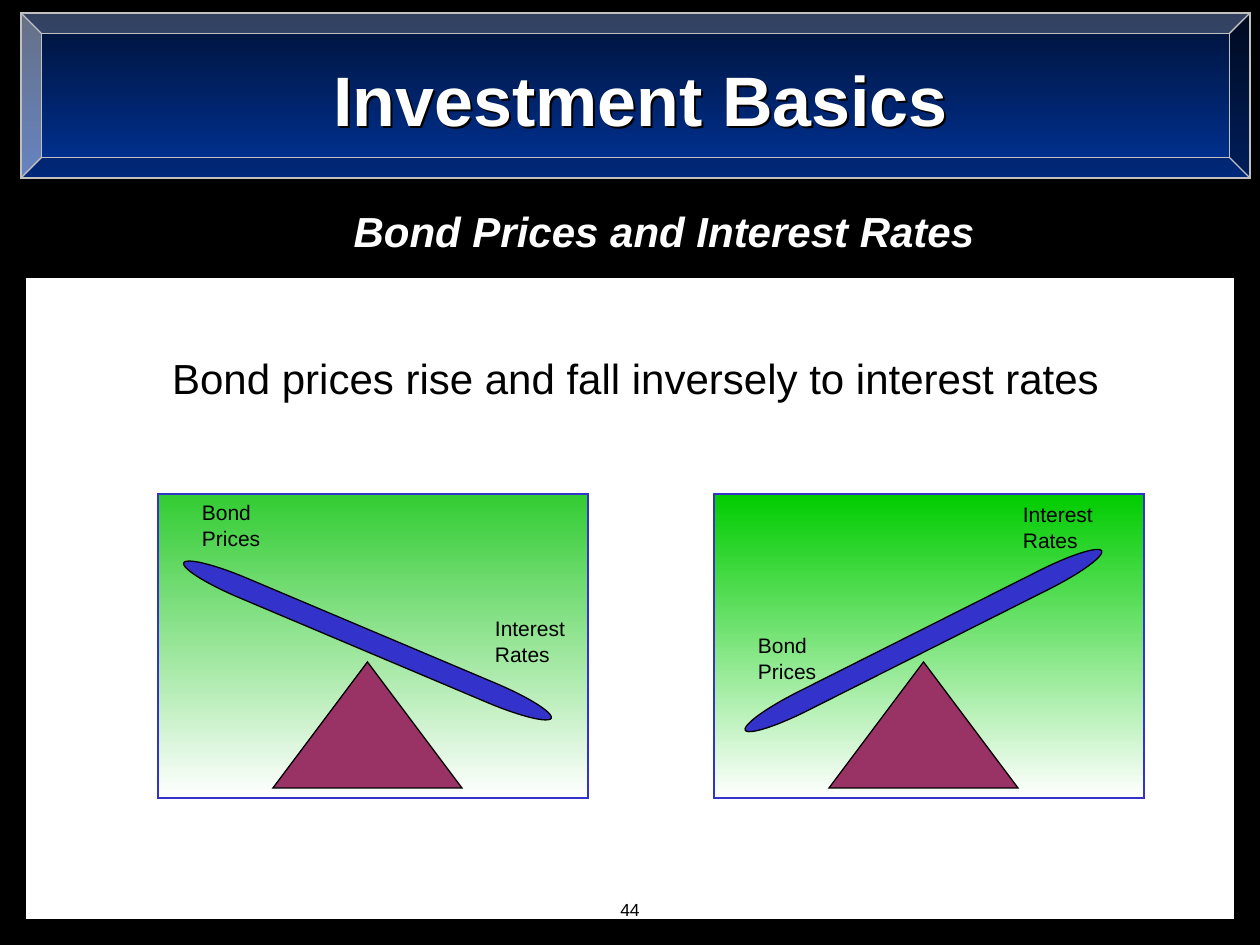
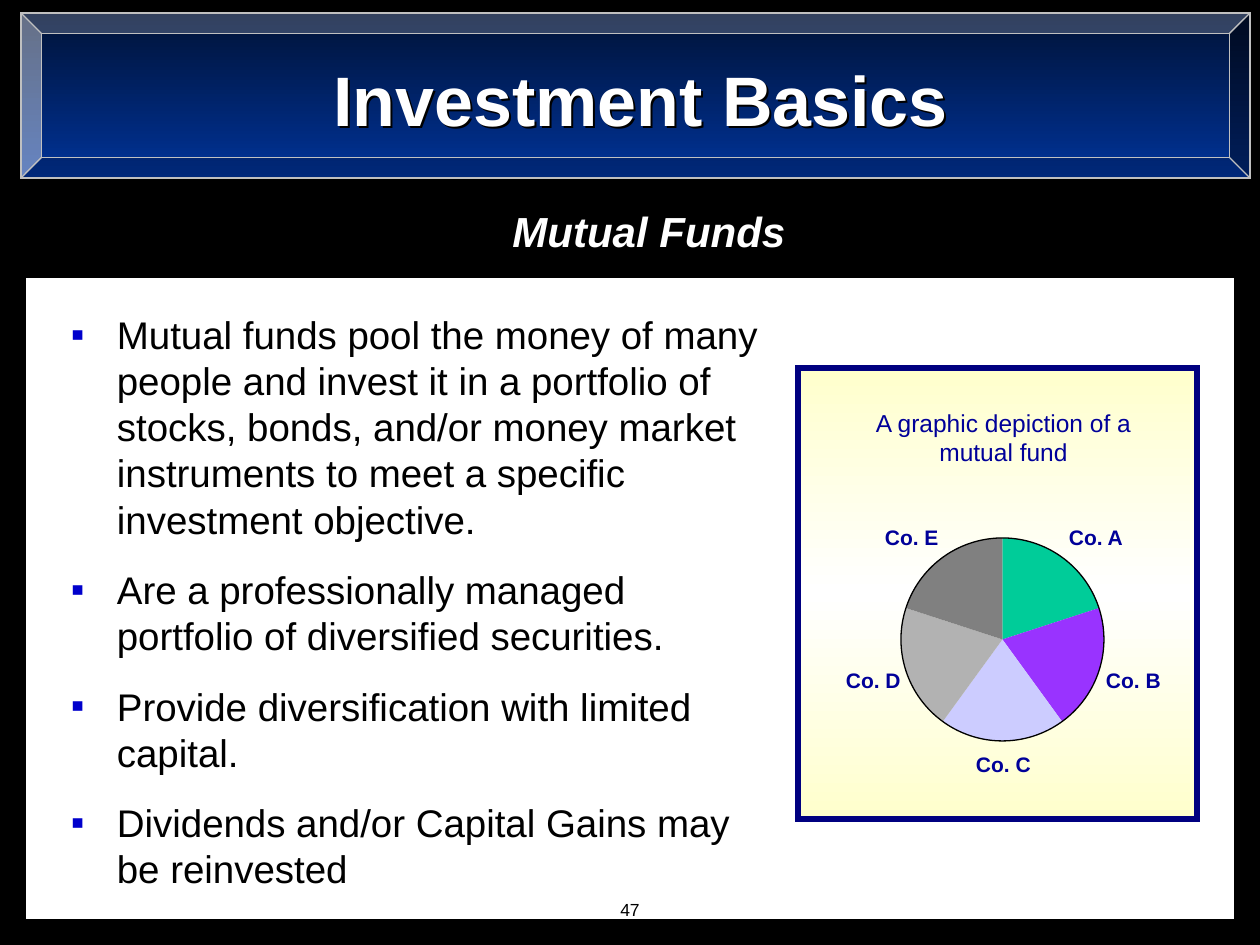
"""Build two investment slides: bond prices against interest rates, and mutual funds."""
from copy import deepcopy
from dataclasses import dataclass

from lxml import etree
from pptx import Presentation
from pptx import util as u
from pptx.dml.color import RGBColor
from pptx.enum import shapes, text
from pptx.oxml.ns import qn

EMU_PER_PX = 914400 / 126
FONT = "Arial"
HEX = {
    "black": "000000", "white": "FFFFFF", "silver": "C0C0C0",
    "night": "001236", "royal": "003399", "indigo": "3333CC",
    "leaf": "33CC33", "green": "00CC00", "plum": "993366",
    "cream": "FFFFCC", "navy": "000080", "ink": "000099", "bullet": "0000CC",
    "teal": "00CC99", "violet": "9933FF", "lilac": "CCCCFF",
    "ash": "B2B2B2", "grey": "808080",
}
SHAPE = shapes.MSO_SHAPE
ALIGN = text.PP_ALIGN


@dataclass(frozen=True)
class Area:
    left: int
    top: int
    width: int
    height: int

    def emu(self) -> list[int]:
        return [px(n) for n in (self.left, self.top, self.width, self.height)]


@dataclass(frozen=True)
class Look:
    size: int
    color: str = "black"
    bold: bool = False
    italic: bool = False
    align: ALIGN = ALIGN.LEFT
    inset: tuple[int, int] = (13, 6)
    before: float = 0
    bullet: str = ""


@dataclass(frozen=True)
class Label:
    words: tuple[str, ...]
    left: int
    top: int


@dataclass(frozen=True)
class Seesaw:
    left: int
    sky: str
    tilt: float
    labels: tuple[Label, ...]


@dataclass(frozen=True)
class Holding:
    name: str
    color: str
    left: int
    top: int


TITLE = Look(40, "white", bold=True, align=ALIGN.CENTER)
SUBTITLE = Look(24, "white", bold=True, italic=True, align=ALIGN.CENTER)
STATEMENT = Look(24, align=ALIGN.CENTER)
NUMBER = Look(10, align=ALIGN.CENTER)
BODY = Look(22, before=13.8, bullet="▪")
CAPTION = Look(14, "ink", align=ALIGN.CENTER)
BEAM_LABEL = Look(12)
SLICE_LABEL = Look(12, "ink", bold=True, inset=(0, 0))

BOND = ("Bond", "Prices")
INTEREST = ("Interest", "Rates")
SEESAW_TOP = 494
SEESAWS = (
    Seesaw(158, "leaf", 22.9, (Label(BOND, 31, 0), Label(INTEREST, 324, 116))),
    Seesaw(714, "green", 333.3, (Label(INTEREST, 296, 2), Label(BOND, 31, 133))),
)
POINTS = (
    "Mutual funds pool the money of many people and invest it in a portfolio of "
    "stocks, bonds, and/or money market instruments to meet a specific investment objective.",
    "Are a professionally managed portfolio of diversified securities.",
    "Provide diversification with limited capital.",
    "Dividends and/or Capital Gains may be reinvested",
)
HOLDINGS = (
    Holding("Co. A", "teal", 1069, 525),
    Holding("Co. B", "violet", 1106, 668),
    Holding("Co. C", "lilac", 976, 752),
    Holding("Co. D", "ash", 846, 668),
    Holding("Co. E", "grey", 885, 525),
)
PIE = Area(901, 538, 203, 203)
TOP_ANGLE = 270
ADJUSTMENT_PER_DEGREE = 0.6


def px(length: int) -> int:
    return round(length * EMU_PER_PX)


def rgb(color: str) -> RGBColor:
    return RGBColor.from_string(HEX[color])


def paint(shape, colors: tuple[str, ...], line: str, width: float) -> None:
    shape.shadow.inherit = False
    if not colors:
        shape.fill.background()
    elif len(colors) == 1:
        shape.fill.solid()
        shape.fill.fore_color.rgb = rgb(colors[0])
    else:
        shape.fill.gradient()
        shape.fill.gradient_angle = 270
        stop_list = shape.element.find(".//" + qn("a:gsLst"))
        for _ in colors[2:]:
            stop_list.append(deepcopy(stop_list[0]))
        for index, (stop, color) in enumerate(zip(shape.fill.gradient_stops, colors)):
            stop.position = index / (len(colors) - 1)
            stop.color.rgb = rgb(color)
    if line:
        shape.line.color.rgb = rgb(line)
        shape.line.width = u.Pt(width)
        outline = shape.element.find(".//" + qn("a:ln"))
        etree.SubElement(outline, qn("a:miter"), lim="800000")
    else:
        shape.line.fill.background()


def add_figure(page, kind: SHAPE, area: Area, colors: tuple[str, ...],
               line: str = "black", width: float = 0.75):
    shape = page.shapes.add_shape(kind, *area.emu())
    paint(shape, colors, line, width)
    return shape


def add_bullet(para, mark: str) -> None:
    props = para._p.get_or_add_pPr()
    props.set("marL", str(px(46)))
    props.set("indent", str(px(-46)))
    color = etree.SubElement(props, qn("a:buClr"))
    etree.SubElement(color, qn("a:srgbClr"), val=HEX["bullet"])
    etree.SubElement(props, qn("a:buFont"), typeface=FONT)
    etree.SubElement(props, qn("a:buChar"), char=mark)


def write(box, lines: tuple[str, ...], look: Look) -> None:
    frame = box.text_frame
    frame.word_wrap = True
    frame.auto_size = text.MSO_AUTO_SIZE.NONE
    frame.vertical_anchor = text.MSO_ANCHOR.TOP
    frame.margin_left = frame.margin_right = px(look.inset[0])
    frame.margin_top = frame.margin_bottom = px(look.inset[1])
    for index, line in enumerate(lines):
        para = frame.add_paragraph() if index else frame.paragraphs[0]
        para.alignment = look.align
        para.space_before = u.Pt(look.before if index else 0)
        if look.bullet:
            add_bullet(para, look.bullet)
        span = para.add_run()
        span.text = line
        span.font.name = FONT
        span.font.size = u.Pt(look.size)
        span.font.bold = look.bold
        span.font.italic = look.italic
        span.font.color.rgb = rgb(look.color)


def add_text(page, area: Area, lines: tuple[str, ...], look: Look) -> None:
    write(page.shapes.add_textbox(*area.emu()), lines, look)


def add_title(page, words: str) -> None:
    title = page.shapes.title
    title.left, title.top, title.width, title.height = Area(311, 50, 659, 97).emu()
    title.fill.background()
    write(title, (words,), TITLE)
    effects = etree.SubElement(title.element.spPr, qn("a:effectLst"))
    shadow = etree.SubElement(effects, qn("a:outerShdw"), dist=str(px(3)), dir="2700000")
    etree.SubElement(shadow, qn("a:srgbClr"), val=HEX["black"])
    title.element.getparent().append(title.element)


def add_page(deck, subtitle: str, center: int, number: int):
    page = deck.slides.add_slide(deck.slide_layouts[5])
    page.background.fill.solid()
    page.background.fill.fore_color.rgb = rgb("black")
    add_figure(page, SHAPE.RECTANGLE, Area(21, 273, 1218, 651), ("white",), width=6)
    add_text(page, Area(499, 893, 262, 26), (str(number),), NUMBER)
    add_figure(page, SHAPE.BEVEL, Area(21, 13, 1229, 165), ("night", "royal"), "silver")
    add_title(page, "Investment Basics")
    add_text(page, Area(center - 350, 200, 700, 63), (subtitle,), SUBTITLE)
    return page


def add_seesaw(page, seesaw: Seesaw) -> None:
    left, top = seesaw.left, SEESAW_TOP
    add_figure(page, SHAPE.RECTANGLE, Area(left, top, 430, 304), (seesaw.sky, "white"), "indigo")
    add_figure(page, SHAPE.ISOSCELES_TRIANGLE, Area(left + 115, top + 168, 189, 126), ("plum",))
    beam = add_figure(page, SHAPE.FLOWCHART_TERMINATOR,
                      Area(left + 10, top + 136, 399, 21), ("indigo",))
    beam.rotation = seesaw.tilt
    for label in seesaw.labels:
        add_text(page, Area(left + label.left, top + label.top, 100, 63), label.words, BEAM_LABEL)


def add_slice(page, index: int, color: str) -> None:
    wedge = add_figure(page, SHAPE.PIE, PIE, (color,), line="")
    sweep = 360 / len(HOLDINGS)
    for edge in range(2):
        angle = (TOP_ANGLE + sweep * (index + edge)) % 360
        wedge.adjustments[edge] = angle * ADJUSTMENT_PER_DEGREE


def add_fund(page) -> None:
    add_figure(page, SHAPE.RECTANGLE, Area(798, 368, 399, 451),
               ("cream", "white", "cream"), "navy", 3)
    for index, holding in enumerate(HOLDINGS):
        add_slice(page, index, holding.color)
        add_text(page, Area(holding.left, holding.top, 60, 25), (holding.name,), SLICE_LABEL)
    add_figure(page, SHAPE.OVAL, PIE, ())
    add_text(page, Area(829, 402, 349, 72), ("A graphic depiction of a mutual fund",), CAPTION)


def main() -> None:
    deck = Presentation()
    deck.slide_width, deck.slide_height = px(1260), px(945)

    bonds = add_page(deck, "Bond Prices and Interest Rates", 664, 44)
    add_text(bonds, Area(147, 347, 977, 63),
             ("Bond prices rise and fall inversely to interest rates",), STATEMENT)
    for seesaw in SEESAWS:
        add_seesaw(bonds, seesaw)

    funds = add_page(deck, "Mutual Funds", 649, 47)
    add_text(funds, Area(58, 305, 718, 593), POINTS, BODY)
    add_fund(funds)

    deck.save("out.pptx")


if __name__ == "__main__":
    main()
